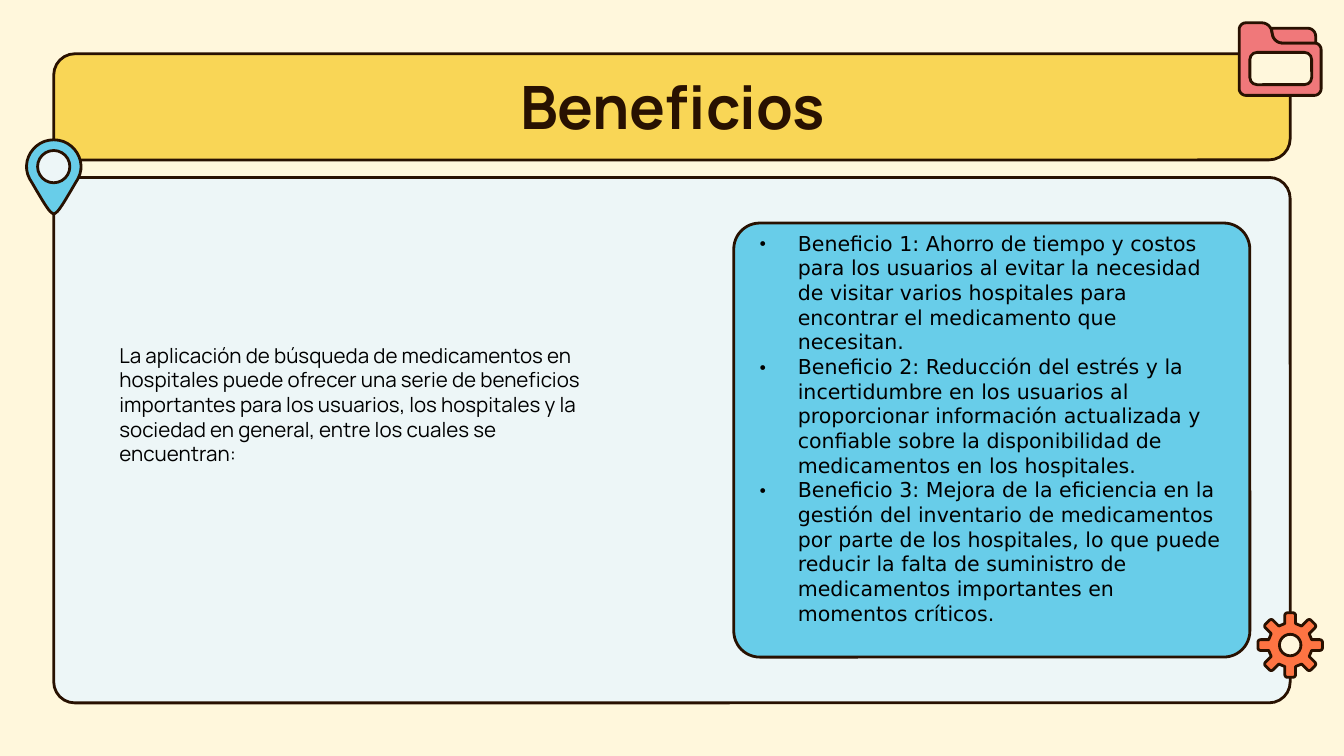
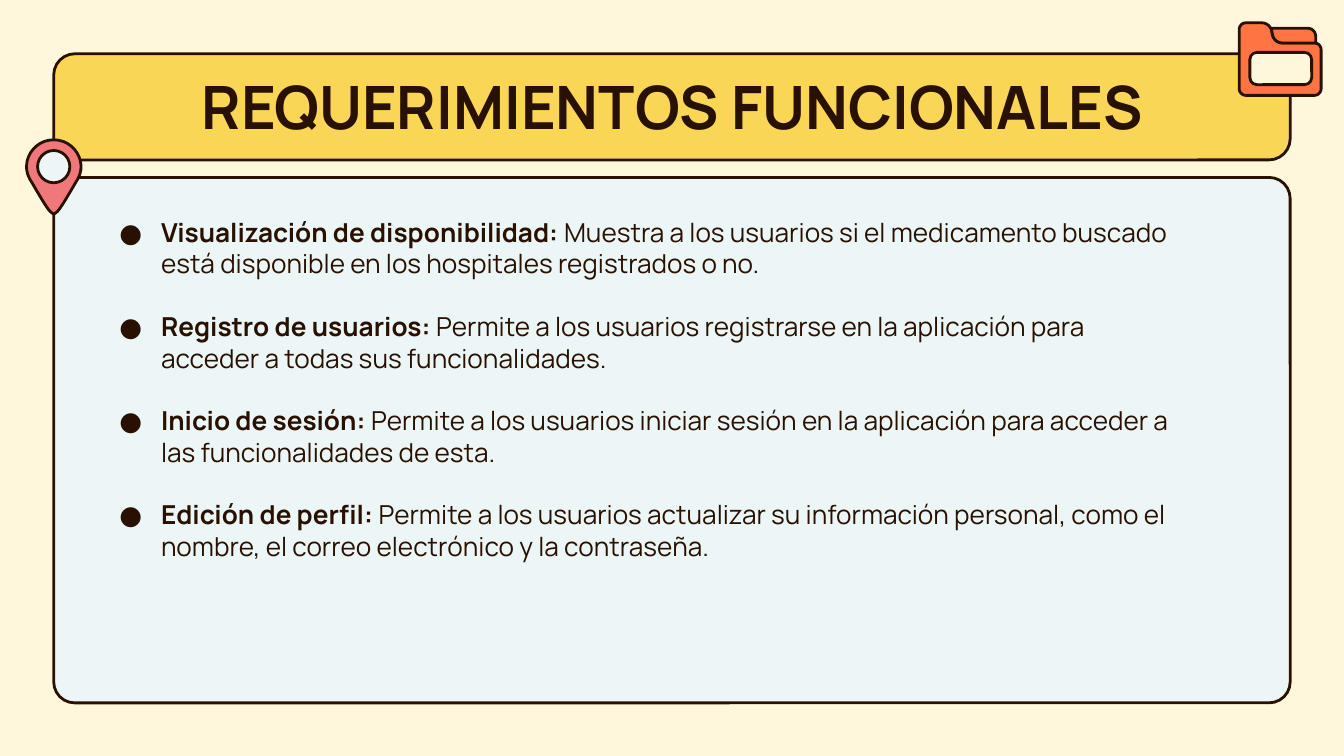
from dataclasses import dataclass
from math import cos, pi, sin

from lxml.etree import SubElement
from pptx import Presentation
from pptx.dml.color import RGBColor as Color
from pptx.enum.shapes import MSO_SHAPE as Preset
from pptx.enum.text import MSO_ANCHOR as Anchor, PP_ALIGN as Align
from pptx.oxml.ns import qn
from pptx.util import Inches, Pt


@dataclass(frozen=True)
class Theme:
    cream: str = "FFF7DC"
    panel: str = "EDF6F7"
    yellow: str = "F9D656"
    blue: str = "68CDE9"
    pink: str = "F0787A"
    orange: str = "FE7443"
    ink: str = "281101"
    black: str = "000000"
    font: str = "Manrope"
    list_font: str = "DejaVu Sans"
    title_size: int = 32
    body_size: int = 14
    small_size: int = 11
    outline: float = 1.5


THEME = Theme()

BENEFITS = {
    "title": "Beneficios",
    "pin": THEME.blue,
    "folder": THEME.pink,
    "intro": "La aplicación de búsqueda de medicamentos en hospitales puede ofrecer una serie de beneficios importantes para los usuarios, los hospitales y la sociedad en general, entre los cuales se encuentran:",
    "items": [
        "Beneficio 1: Ahorro de tiempo y costos para los usuarios al evitar la necesidad de visitar varios hospitales para encontrar el medicamento que necesitan.",
        "Beneficio 2: Reducción del estrés y la incertidumbre en los usuarios al proporcionar información actualizada y confiable sobre la disponibilidad de medicamentos en los hospitales.",
        "Beneficio 3: Mejora de la eficiencia en la gestión del inventario de medicamentos por parte de los hospitales, lo que puede reducir la falta de suministro de medicamentos importantes en momentos críticos.",
    ],
}

REQUIREMENTS = {
    "title": "REQUERIMIENTOS FUNCIONALES",
    "pin": THEME.pink,
    "folder": THEME.orange,
    "items": [
        ("Visualización de disponibilidad:", "Muestra a los usuarios si el medicamento buscado está disponible en los hospitales registrados o no."),
        ("Registro de usuarios:", "Permite a los usuarios registrarse en la aplicación para acceder a todas sus funcionalidades."),
        ("Inicio de sesión:", "Permite a los usuarios iniciar sesión en la aplicación para acceder a las funcionalidades de esta."),
        ("Edición de perfil:", "Permite a los usuarios actualizar su información personal, como el nombre, el correo electrónico y la contraseña."),
    ],
}

PANEL = (0.4, 1.32, 9.2, 3.91)
BANNER = (0.4, 0.4, 9.2, 0.79)
TITLE = (0.79, 0.42, 8.43, 0.65)
INTRO = (0.79, 2.45, 3.71, 2.43)
BENEFIT_CARD = (5.46, 1.66, 3.84, 3.23)
REQUIREMENT_LIST = (0.79, 1.51, 8.1, 3.38)
INDENT = 0.31
INSET = 0.1

PIN_CURVES = [
    [(0.4, 1.04), (0.25, 1.04), (0.15, 1.2), (0.22, 1.33)],
    [(0.22, 1.33), (0.24, 1.36), (0.34, 1.54), (0.37, 1.57)],
    [(0.37, 1.57), (0.38, 1.58), (0.39, 1.59), (0.4, 1.59)],
]
PIN_HOLE = (0.28, 1.12, 0.24, 0.24)
FOLDER_FRONT = [
    (9.22, 0.17, 0.05), (9.22, 0.71, 0.05), (9.83, 0.71, 0.05),
    (9.83, 0.32, 0.05), (9.48, 0.32, 0.06), (9.45, 0.17, 0.06),
]
FOLDER_BACK = [(9.46, 0.21, 0), (9.48, 0.32, 0.06), (9.79, 0.32, 0), (9.79, 0.21, 0.06)]
FOLDER_WINDOW = (9.3, 0.39, 0.46, 0.24)
GEAR_CENTER = (9.6, 4.8)
GEAR_HOLE = (9.52, 4.72, 0.16, 0.16)
GEAR_TEETH = 8
GEAR_TOOTH = [(0.16, -0.04, 0), (0.24, -0.04, 0.02), (0.24, 0.04, 0.02), (0.16, 0.04, 0)]


def sample_curve(control, steps=12):
    points = []
    for step in range(steps + 1):
        t = step / steps
        weights = [(1 - t) ** 3, 3 * t * (1 - t) ** 2, 3 * t * t * (1 - t), t ** 3]
        points.append(tuple(sum(w * p[axis] for w, p in zip(weights, control)) for axis in (0, 1)))
    return points


def toward(start, end, distance):
    length = ((end[0] - start[0]) ** 2 + (end[1] - start[1]) ** 2) ** 0.5
    return tuple(start[axis] + (end[axis] - start[axis]) * distance / length for axis in (0, 1))


def round_corners(corners):
    points = []
    for index, (x, y, radius) in enumerate(corners):
        corner = (x, y)
        if not radius:
            points.append(corner)
            continue
        before = toward(corner, corners[index - 1], radius)
        after = toward(corner, corners[(index + 1) % len(corners)], radius)
        controls = [before, toward(corner, before, radius * 0.45), toward(corner, after, radius * 0.45), after]
        points += sample_curve(controls, 6)
    return points


def paint(shape, fill):
    shape.shadow.inherit = False
    shape.fill.solid()
    shape.fill.fore_color.rgb = Color.from_string(fill)
    shape.line.color.rgb = Color.from_string(THEME.ink)
    shape.line.width = Pt(THEME.outline)
    return shape


def add_preset(shapes, preset, box, fill, rounding=None):
    shape = paint(shapes.add_shape(preset, *map(Inches, box)), fill)
    if rounding is not None:
        shape.adjustments[0] = rounding
    return shape


def add_outline(shapes, points, fill):
    start, *rest = [(Inches(x), Inches(y)) for x, y in points]
    builder = shapes.build_freeform(*start)
    builder.add_line_segments(rest, close=True)
    return paint(builder.convert_to_shape(), fill)


def add_pin(slide, fill):
    shapes = slide.shapes.add_group_shape().shapes
    left = [point for curve in PIN_CURVES for point in sample_curve(curve)]
    axis = left[0][0]
    right = [(2 * axis - x, y) for x, y in reversed(left)]
    add_outline(shapes, left + right, fill)
    add_preset(shapes, Preset.OVAL, PIN_HOLE, THEME.panel)


def add_folder(slide, fill):
    shapes = slide.shapes.add_group_shape().shapes
    for corners in (FOLDER_FRONT, FOLDER_BACK):
        add_outline(shapes, round_corners(corners), fill)
    add_preset(shapes, Preset.ROUNDED_RECTANGLE, FOLDER_WINDOW, THEME.cream, 0.22)


def add_gear(slide):
    shapes = slide.shapes.add_group_shape().shapes
    center_x, center_y = GEAR_CENTER
    corners = []
    for tooth in range(GEAR_TEETH):
        angle = 2 * pi * tooth / GEAR_TEETH
        corners += [
            (center_x + u * cos(angle) - v * sin(angle), center_y + u * sin(angle) + v * cos(angle), radius)
            for u, v, radius in GEAR_TOOTH
        ]
    add_outline(shapes, round_corners(corners), THEME.orange)
    add_preset(shapes, Preset.OVAL, GEAR_HOLE, THEME.cream)


def prepare_frame(shape, anchor=Anchor.TOP, left=INSET, right=INSET, bottom=INSET):
    frame = shape.text_frame
    frame.word_wrap = True
    frame.vertical_anchor = anchor
    frame.margin_left = Inches(left)
    frame.margin_right = Inches(right)
    frame.margin_top = Inches(INSET)
    frame.margin_bottom = Inches(bottom)
    return frame


def add_text_box(slide, box):
    return prepare_frame(slide.shapes.add_textbox(*map(Inches, box)))


def style(paragraph, size, color, font=THEME.font, bold=None, align=Align.LEFT):
    paragraph.alignment = align
    paragraph.font.name = font
    paragraph.font.size = Pt(size)
    paragraph.font.bold = bold
    paragraph.font.color.rgb = Color.from_string(color)


def add_bullet(paragraph, character, color):
    properties = paragraph._p.get_or_add_pPr()
    properties.set("marL", str(Inches(INDENT)))
    properties.set("indent", str(-Inches(INDENT)))
    bullet_color = SubElement(properties, qn("a:buClr"))
    SubElement(bullet_color, qn("a:srgbClr")).set("val", color)
    SubElement(properties, qn("a:buFont")).set("typeface", THEME.font)
    SubElement(properties, qn("a:buChar")).set("char", character)
    defaults = properties.find(qn("a:defRPr"))
    if defaults is not None:
        properties.append(defaults)


def list_paragraphs(frame, items):
    for index, item in enumerate(items):
        paragraph = frame.paragraphs[0] if index == 0 else frame.add_paragraph()
        yield index, paragraph, item


def start_slide(presentation):
    slide = presentation.slides.add_slide(presentation.slide_layouts[6])
    slide.background.fill.solid()
    slide.background.fill.fore_color.rgb = Color.from_string(THEME.cream)
    add_preset(slide.shapes, Preset.ROUNDED_RECTANGLE, PANEL, THEME.panel, 0.04)
    return slide


def add_header(slide, content):
    add_preset(slide.shapes, Preset.ROUNDED_RECTANGLE, BANNER, THEME.yellow, 0.2)
    add_pin(slide, content["pin"])
    add_folder(slide, content["folder"])
    paragraph = add_text_box(slide, TITLE).paragraphs[0]
    paragraph.text = content["title"]
    style(paragraph, THEME.title_size, THEME.ink, bold=True, align=Align.CENTER)


def build_benefits(presentation):
    slide = start_slide(presentation)
    card = add_preset(slide.shapes, Preset.ROUNDED_RECTANGLE, BENEFIT_CARD, THEME.blue, 0.06)
    frame = prepare_frame(card, Anchor.MIDDLE, left=0.11, right=0.12, bottom=0.28)
    for _, paragraph, text in list_paragraphs(frame, BENEFITS["items"]):
        paragraph.text = text
        style(paragraph, THEME.small_size, THEME.black, THEME.list_font)
        add_bullet(paragraph, "•", THEME.black)
    add_header(slide, BENEFITS)
    add_gear(slide)
    paragraph = add_text_box(slide, INTRO).paragraphs[0]
    paragraph.text = BENEFITS["intro"]
    style(paragraph, THEME.small_size, THEME.black)


def build_requirements(presentation):
    slide = start_slide(presentation)
    add_header(slide, REQUIREMENTS)
    frame = add_text_box(slide, REQUIREMENT_LIST)
    for index, paragraph, (label, text) in list_paragraphs(frame, REQUIREMENTS["items"]):
        style(paragraph, THEME.body_size, THEME.ink)
        paragraph.space_before = Pt(16.8 if index else 0)
        run = paragraph.add_run()
        run.text = label + " "
        run.font.bold = True
        paragraph.add_run().text = text
        add_bullet(paragraph, "●", THEME.ink)


def main():
    presentation = Presentation()
    presentation.slide_width = Inches(10)
    presentation.slide_height = presentation.slide_width * 9 // 16
    build_benefits(presentation)
    build_requirements(presentation)
    presentation.save("out.pptx")


if __name__ == "__main__":
    main()
